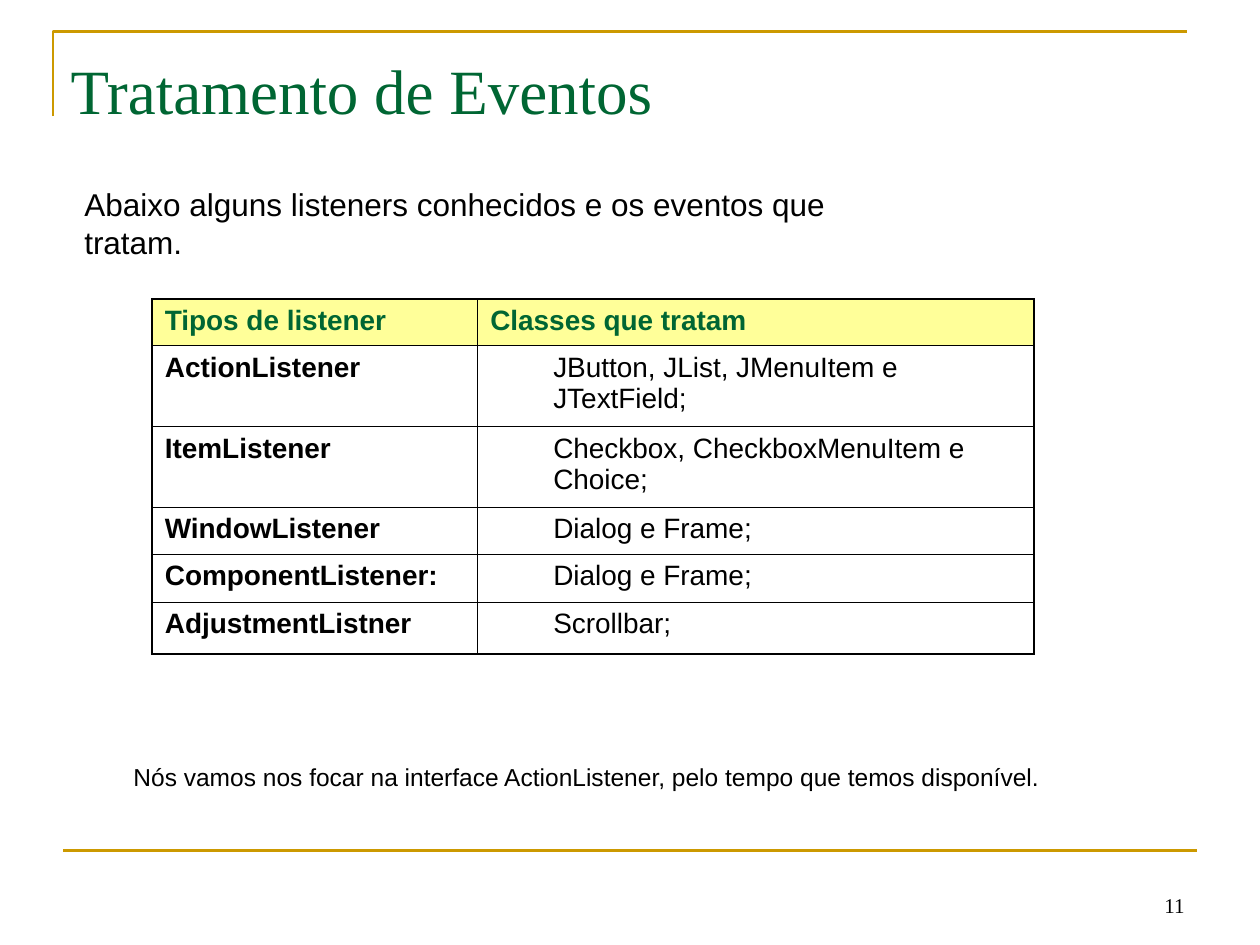
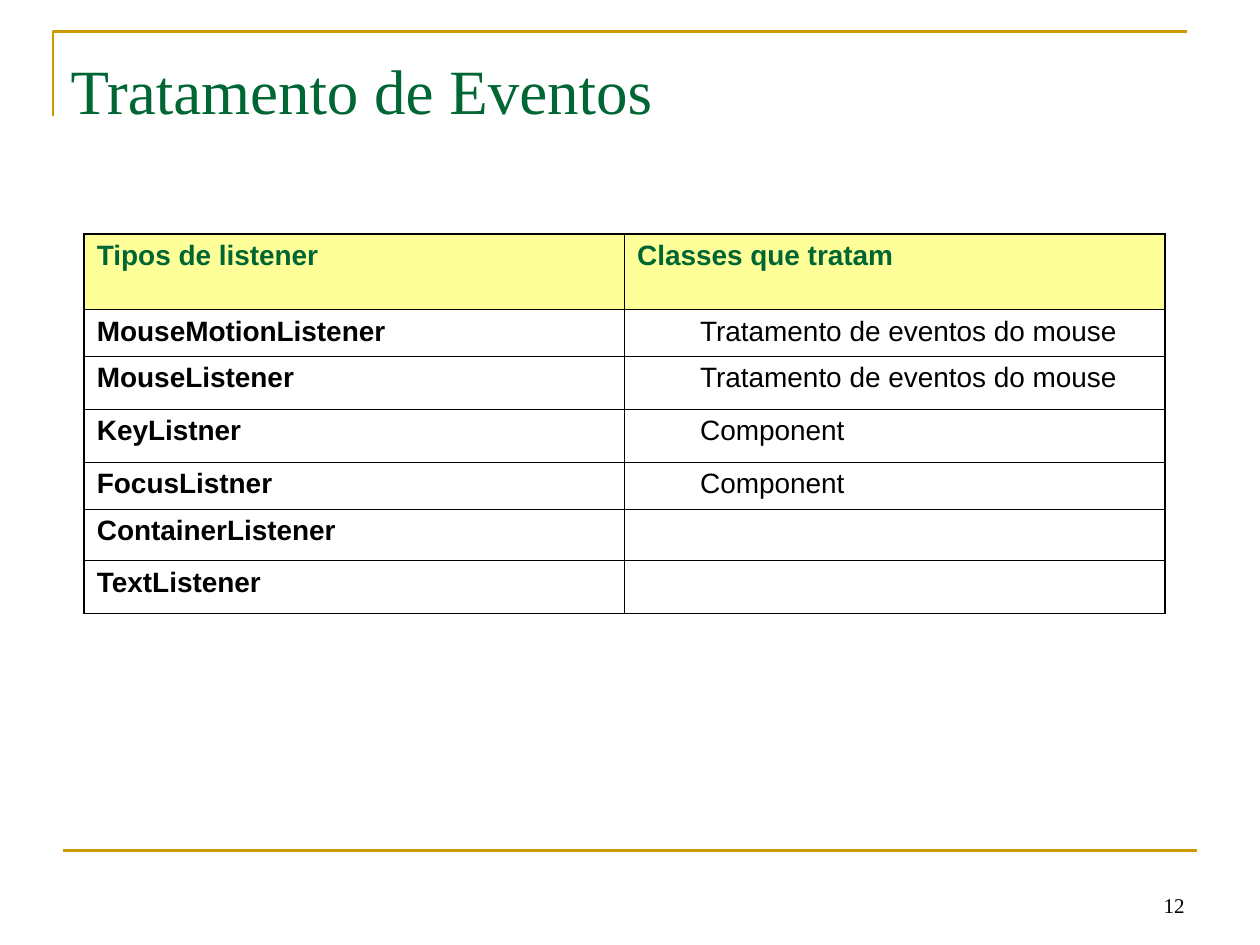
from lxml import etree
from pptx import Presentation
from pptx.dml.color import RGBColor
from pptx.enum.shapes import MSO_CONNECTOR
from pptx.enum.text import MSO_ANCHOR, MSO_AUTO_SIZE, PP_ALIGN
from pptx.oxml.ns import qn
from pptx.util import Cm, Pt

GREEN = RGBColor(0x00, 0x66, 0x33)
GOLD = RGBColor(0xCC, 0x99, 0x00)
YELLOW = RGBColor(0xFF, 0xFF, 0x99)
BLACK = RGBColor(0x00, 0x00, 0x00)
SANS, SERIF = "Arial", "Times New Roman"
LEFT, RIGHT = PP_ALIGN.LEFT, PP_ALIGN.RIGHT
TOP, BOTTOM = MSO_ANCHOR.TOP, MSO_ANCHOR.BOTTOM
NO_AUTOFIT = MSO_AUTO_SIZE.NONE
STRAIGHT = MSO_CONNECTOR.STRAIGHT
OUTER, INNER = Pt(1.08), Pt(0.45)
TITLE_ONLY = 5

HEADER = ("Tipos de listener", "Classes que tratam")

# Each page: number, table position, column widths, row heights, rows, text boxes
PAGES = [
    dict(
        number=11, corner=(3.07, 6.03), widths=(6.56, 11.21),
        heights=(0.94, 1.63, 1.63, 0.94, 0.97, 1.04),
        rows=[
            ("ActionListener", "JButton, JList, JMenuItem e JTextField;"),
            ("ItemListener", "Checkbox, CheckboxMenuItem e Choice;"),
            ("WindowListener", "Dialog e Frame;"),
            ("ComponentListener:", "Dialog e Frame;"),
            ("AdjustmentListner", "Scrollbar;"),
        ],
        notes=[
            ((1.45, 3.61, 17.58, 1.02), 18, False,
             "Abaixo alguns listeners conhecidos e os eventos que tratam."),
            ((2.44, 15.24, 19.58, 0.86), 14, True,
             "Nós vamos nos focar na interface ActionListener, "
             "pelo tempo que temos disponível."),
        ],
    ),
    dict(
        number=12, corner=(1.7, 4.72), widths=(10.89, 10.89),
        heights=(1.52, 0.94, 1.07, 1.07, 0.95, 0.94, 1.07),
        rows=[
            ("MouseMotionListener", "Tratamento de eventos do mouse"),
            ("MouseListener", "Tratamento de eventos do mouse"),
            ("KeyListner", "Component"),
            ("FocusListner", "Component"),
            ("ContainerListener", ""),
            ("TextListener", ""),
        ],
        notes=[],
    ),
]


def write(frame, text, size, name=SANS, color=BLACK, bold=False, align=LEFT):
    """Fill a text frame with one paragraph and return that paragraph."""
    para = frame.paragraphs[0]
    para.text = text
    para.alignment = align
    para.font.size = Pt(size)
    para.font.name = name
    para.font.bold = bold
    para.font.color.rgb = color
    return para


def add_border(cell, side, width):
    properties = cell._tc.get_or_add_tcPr()
    line = etree.SubElement(properties, qn(f"a:ln{side}"), w=str(int(width)))
    fill = etree.SubElement(line, qn("a:solidFill"))
    etree.SubElement(fill, qn("a:srgbClr"), val=str(BLACK))


deck = Presentation()
deck.slide_width, deck.slide_height = Cm(25.4), Cm(19.05)

for content in PAGES:
    page = deck.slides.add_slide(deck.slide_layouts[TITLE_ONLY])

    # Gold frame lines
    builder = page.shapes.build_freeform(Cm(1.07), Cm(2.34))
    builder.add_line_segments(
        [(Cm(1.07), Cm(0.64)), (Cm(23.93), Cm(0.64))], close=False)
    bracket = builder.convert_to_shape()
    bracket.shadow.inherit = False
    bracket.fill.background()
    rule = page.shapes.add_connector(
        STRAIGHT, Cm(1.27), Cm(17.15), Cm(24.13), Cm(17.15))
    etree.SubElement(rule._element.spPr, qn("a:effectLst"))
    for stroke in (bracket, rule):
        stroke.line.color.rgb = GOLD
        stroke.line.width = Pt(1.5)

    # Title
    title = page.shapes.title
    title.left, title.top = Cm(1.17), Cm(0.74)
    title.width, title.height = Cm(22.86), Cm(1.55)
    frame = title.text_frame
    frame.auto_size = NO_AUTOFIT
    frame.vertical_anchor = TOP
    frame.margin_top, frame.margin_bottom = Cm(0.29), 0
    write(frame, "Tratamento de Eventos", 36, SERIF, GREEN)

    # Listener table
    rows = [HEADER] + content["rows"]
    last_row = len(rows) - 1
    table = page.shapes.add_table(
        len(rows), 2, *map(Cm, content["corner"]),
        Cm(sum(content["widths"])), Cm(sum(content["heights"]))).table
    table.first_row = table.horz_banding = False
    for column, width in zip(table.columns, content["widths"]):
        column.width = Cm(width)
    for row, height in zip(table.rows, content["heights"]):
        row.height = Cm(height)
    for r, texts in enumerate(rows):
        for c, text in enumerate(texts):
            cell = table.cell(r, c)
            add_border(cell, "L", OUTER if c == 0 else INNER)
            add_border(cell, "R", OUTER if c == 1 else INNER)
            add_border(cell, "T", OUTER if r == 0 else INNER)
            add_border(cell, "B", OUTER if r == last_row else INNER)
            if r == 0:
                cell.fill.solid()
                cell.fill.fore_color.rgb = YELLOW
            else:
                cell.fill.background()
            if text:
                para = write(cell.text_frame, text, 16, bold=r == 0 or c == 0,
                             color=GREEN if r == 0 else BLACK)
                if r > 0 and c == 1:
                    para._p.get_or_add_pPr().set("marL", str(Cm(1.27)))

    # Text around the table
    for place, size, wrap, text in content["notes"]:
        box = page.shapes.add_textbox(*map(Cm, place))
        box.text_frame.word_wrap = wrap
        write(box.text_frame, text, size)

    # Page number
    box = page.shapes.add_textbox(Cm(18.21), Cm(17.35), Cm(5.92), Cm(1.27))
    box.text_frame.word_wrap = True
    box.text_frame.vertical_anchor = BOTTOM
    write(box.text_frame, str(content["number"]), 12, SERIF, align=RIGHT)

deck.save("out.pptx")
